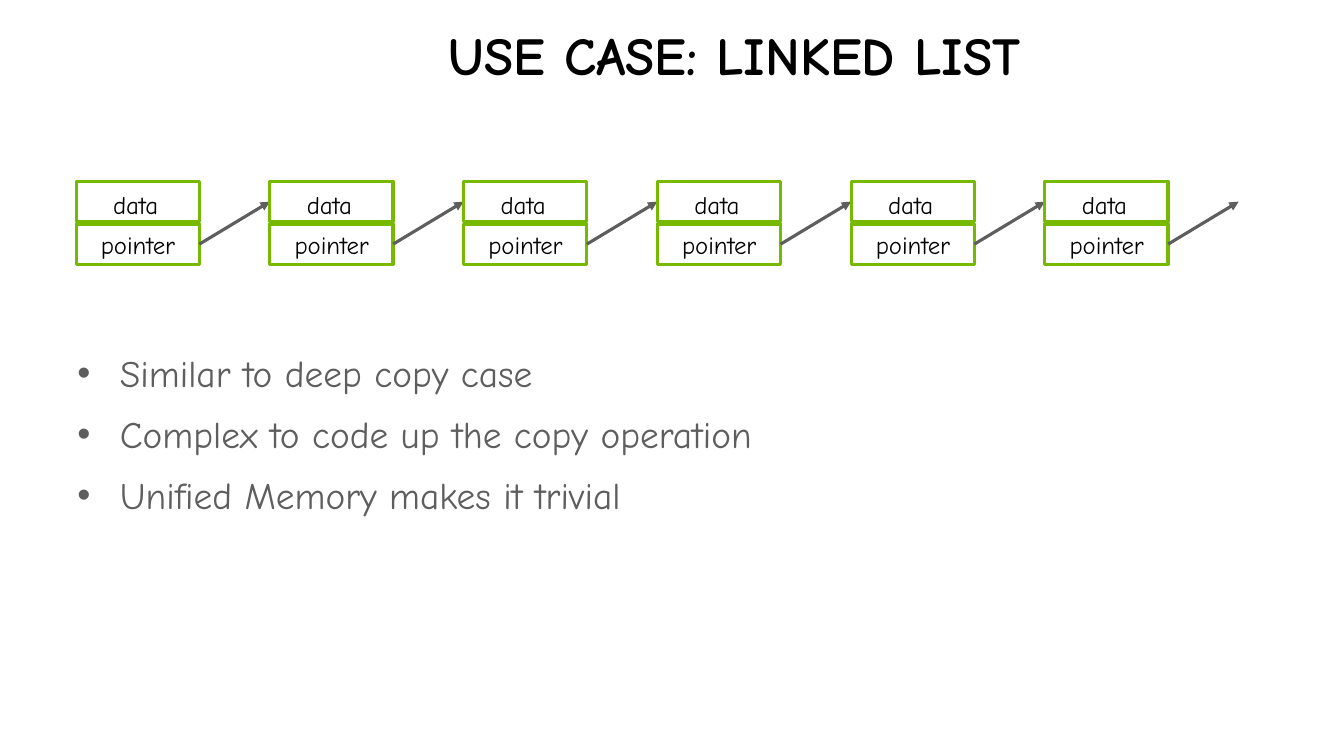
from lxml.etree import SubElement
from pptx import Presentation
from pptx.dml.color import RGBColor
from pptx.enum.shapes import MSO_CONNECTOR as CONN, MSO_SHAPE as SHAPE
from pptx.enum.text import MSO_ANCHOR as ANCHOR, MSO_AUTO_SIZE as AUTO, PP_ALIGN as ALIGN
from pptx.oxml.ns import qn
from pptx.util import Inches, Pt

FONT = "Comic Neue"
GREEN, GREY, BLACK = "76B900", "5E5E5E", "000000"
NODES = 6
PITCH, NODE_W, CELL_H, ROW_STEP = 1.73, 1.1, 0.36, 0.38
FIELDS = [("data", 0.33, 0.07), ("pointer", 0.22, 0.05)]
BULLETS = [
    "Similar to deep copy case",
    "Complex to code up the copy operation",
    "Unified Memory makes it trivial",
]


def color(hex_code):
    """Turn a hex string into a colour."""
    return RGBColor.from_string(hex_code)


def place(sp, x, y, w, h):
    """Move a shape to a box given in inches."""
    sp.left, sp.top, sp.width, sp.height = (Inches(v) for v in (x, y, w, h))


def setup_frame(sp, anchor, left=0, top=0):
    """Fix the insets and anchor of a shape's text frame and return it."""
    tf = sp.text_frame
    tf.auto_size, tf.word_wrap, tf.vertical_anchor = AUTO.NONE, True, anchor
    tf.margin_left, tf.margin_top = Inches(left), Inches(top)
    tf.margin_right = tf.margin_bottom = 0
    return tf


def add_run(p, text, size, hex_code, bold=False):
    """Append a formatted run to a paragraph."""
    r = p.add_run()
    r.text = text
    r.font.name, r.font.size, r.font.bold = FONT, Pt(size), bold
    r.font.color.rgb = color(hex_code)


def set_indent(p, left, first):
    """Set the left margin and first-line indent of a paragraph in inches."""
    pPr = p._p.get_or_add_pPr()
    pPr.set("marL", str(Inches(left)))
    pPr.set("indent", str(Inches(first)))


def add_title(slide, x, y, w, h):
    """Fill the title placeholder."""
    sp = slide.shapes.title
    place(sp, x, y, w, h)
    p = setup_frame(sp, ANCHOR.MIDDLE).paragraphs[0]
    p.alignment = ALIGN.CENTER
    set_indent(p, 2.31, 0)
    add_run(p, "USE CASE: LINKED LIST", 34.3, BLACK, True)


def add_bullets(slide, x, y, w, h):
    """Fill the body placeholder with the bullet list."""
    sp = slide.placeholders[1]
    place(sp, x, y, w, h)
    tf = setup_frame(sp, ANCHOR.TOP)
    for i, text in enumerate(BULLETS):
        p = tf.add_paragraph() if i else tf.paragraphs[0]
        set_indent(p, 0.39, -0.38)
        p.space_before = Pt(10.2 if i else 0)
        add_run(p, text, 24, GREY)


def add_arrow(slide, x1, y1, x2, y2):
    """Draw a grey arrow between two points."""
    cn = slide.shapes.add_connector(CONN.STRAIGHT, *(Inches(v) for v in (x1, y1, x2, y2)))
    cn.line.color.rgb, cn.line.width = color(GREY), Pt(2)
    SubElement(cn.line._get_or_add_ln(), qn("a:tailEnd"), type="triangle")
    SubElement(cn._element.spPr, qn("a:effectLst"))


def add_node(slide, x, y):
    """Draw one list node with its data and pointer cells."""
    for row, (label, left, top) in enumerate(FIELDS):
        box = (x, y + row * ROW_STEP, NODE_W, CELL_H)
        sp = slide.shapes.add_shape(SHAPE.RECTANGLE, *(Inches(v) for v in box))
        sp.shadow.inherit = False
        sp.fill.background()
        sp.line.color.rgb, sp.line.width = color(GREEN), Pt(2)
        p = setup_frame(sp, ANCHOR.TOP, left, top).paragraphs[0]
        p.alignment = ALIGN.LEFT
        add_run(p, label, 16, BLACK)


def add_linked_list(slide, x, y):
    """Draw the row of nodes, each pointing to the next."""
    for i in range(NODES):
        left = x + i * PITCH
        add_node(slide, left, y)
        add_arrow(slide, left + NODE_W, y + ROW_STEP + CELL_H / 2, left + PITCH, y + CELL_H / 2)


def main():
    """Build and save the slide."""
    prs = Presentation()
    prs.slide_width, prs.slide_height = Inches(12), Inches(6.75)
    slide = prs.slides.add_slide(prs.slide_layouts[1])
    add_title(slide, 0.75, 0.19, 9.31, 0.58)
    add_bullets(slide, 0.68, 3.13, 6.92, 1.45)
    add_linked_list(slide, 0.68, 1.62)
    prs.save("out.pptx")


if __name__ == "__main__":
    main()
